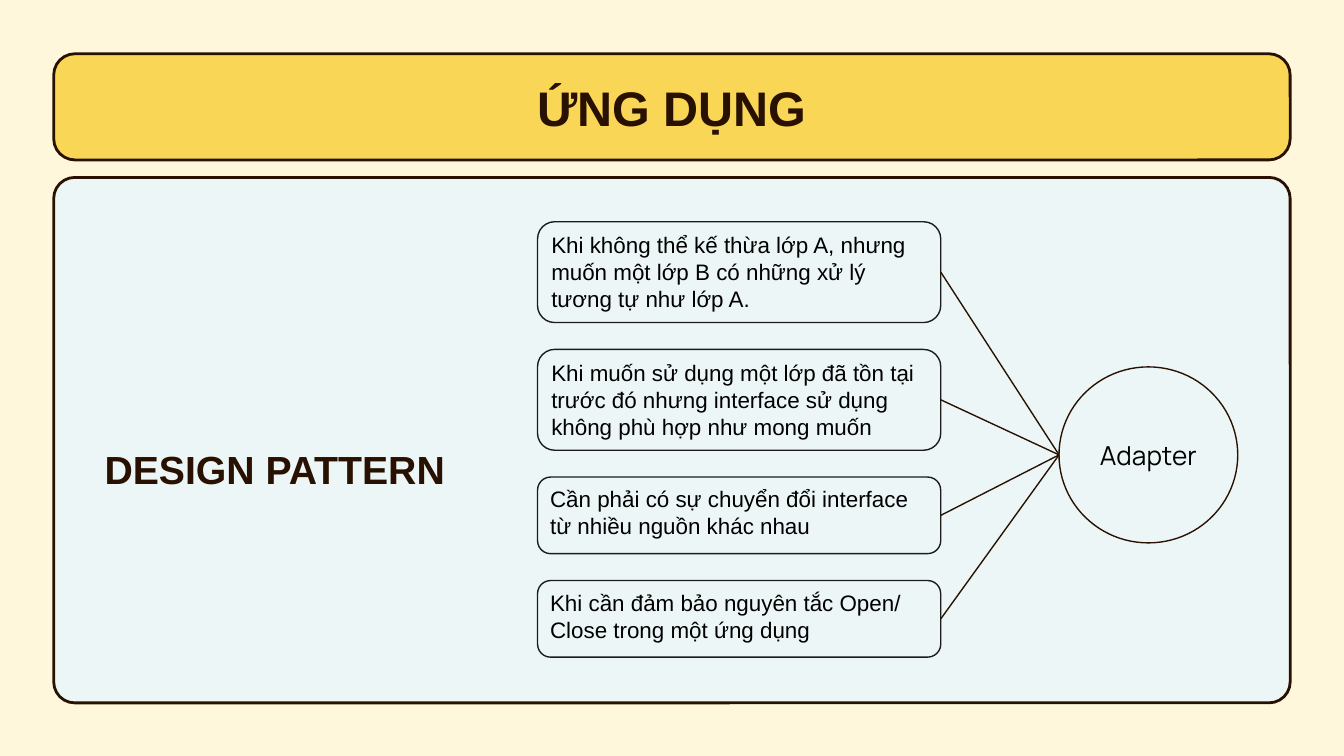
from dataclasses import dataclass

from pptx import Presentation
from pptx.dml.color import RGBColor
from pptx.enum.shapes import MSO_CONNECTOR, MSO_SHAPE
from pptx.enum.text import MSO_ANCHOR, PP_ALIGN
from pptx.oxml.ns import qn
from pptx.util import Inches, Pt
from lxml.etree import SubElement


@dataclass(frozen=True)
class Theme:
    """Colours, fonts and type sizes."""
    cream: str = "FFF7DC"
    gold: str = "F9D656"
    mist: str = "EDF6F7"
    brown: str = "281101"
    ink: str = "1B1B1B"
    black: str = "000000"
    face: str = "Arial"
    round: str = "Manrope"
    head: float = 26
    sub: float = 21
    label: float = 14
    body: float = 12
    thick: float = 1.5
    thin: float = 0.75


class Board:
    """Draws on one slide, in grid cells of a tenth of an inch."""

    def __init__(self, deck, theme):
        """Add a blank slide with a plain background."""
        self.theme = theme
        self.slide = deck.slides.add_slide(deck.slide_layouts[6])
        self.paint(self.slide.background.fill, theme.cream)

    def cells(self, *spans):
        """Turn grid cells into lengths."""
        return [Inches(span / 10) for span in spans]

    def paint(self, fill, tone):
        """Give a fill one solid colour."""
        fill.solid()
        fill.fore_color.rgb = RGBColor.from_string(tone)

    def stroke(self, line, tone, width):
        """Give an outline its colour and width."""
        self.paint(line.fill, tone)
        line.width = Pt(width)

    def shape(self, kind, spot, fill, line, width, bend=None):
        """Add a filled shape with an outline."""
        item = self.slide.shapes.add_shape(kind, *self.cells(*spot))
        item.shadow.inherit = False
        self.paint(item.fill, fill)
        self.stroke(item.line, line, width)
        if bend is not None:
            item.adjustments[0] = bend
        return item

    def panel(self, spot, fill, line, width, bend):
        """Add a rounded rectangle."""
        return self.shape(MSO_SHAPE.ROUNDED_RECTANGLE, spot, fill, line, width, bend)

    def text(self, item, words, size, tone, face=None, bold=False,
             align=PP_ALIGN.CENTER, anchor=MSO_ANCHOR.MIDDLE, pad=(0, 0)):
        """Write words into a shape."""
        frame = item.text_frame
        side, top = self.cells(*pad)
        form = dict(word_wrap=True, vertical_anchor=anchor, margin_left=side,
                    margin_right=side, margin_top=top, margin_bottom=top)
        for name, value in form.items():
            setattr(frame, name, value)
        para = frame.paragraphs[0]
        para.alignment = align
        run = para.add_run()
        run.text = words
        form = dict(name=face or self.theme.face, size=Pt(size), bold=bold)
        for name, value in form.items():
            setattr(run.font, name, value)
        run.font.color.rgb = RGBColor.from_string(tone)

    def note(self, spot, words, **form):
        """Add a free text box."""
        box = self.slide.shapes.add_textbox(*self.cells(*spot))
        self.text(box, words, **form)

    def link(self, box, end):
        """Draw a line from the right side of a box to a point."""
        line = self.slide.shapes.add_connector(
            MSO_CONNECTOR.STRAIGHT, 0, 0, *self.cells(*end))
        line.begin_connect(box, 3)
        self.stroke(line.line, self.theme.brown, self.theme.thin)
        SubElement(line._element.spPr, qn("a:effectLst"))


def main():
    """Build the slide and save it."""
    deck = Presentation()
    deck.slide_width = Inches(10)
    deck.slide_height = deck.slide_width * 9 // 16
    look = Theme()
    board = Board(deck, look)

    board.panel((4, 13.2, 92, 39.1), look.mist, look.brown, look.thick, 0.04)
    banner = board.panel((4, 4, 92, 7.9), look.gold, look.brown, look.thick, 0.2)
    board.text(banner, "ỨNG DỤNG", look.head, look.brown, bold=True)
    board.note((6.8, 32.1, 28.4, 5.6), "DESIGN PATTERN", size=look.sub,
               tone=look.brown, bold=True, align=PP_ALIGN.LEFT, pad=(1, 1))

    hub = (78.8, 27.3, 13.3, 13.1)
    ring = board.shape(MSO_SHAPE.OVAL, hub, look.mist, look.brown, look.thin)
    board.text(ring, "Adapter", look.label, look.black, look.round)

    cases = (
        ("Khi không thể kế thừa lớp A, nhưng muốn một lớp B có những xử lý tương tự như lớp A.", 7.5),
        ("Khi muốn sử dụng một lớp đã tồn tại trước đó nhưng interface sử dụng không phù hợp như mong muốn", 7.5),
        ("Cần phải có sự chuyển đổi interface từ nhiều nguồn khác nhau", 5.7),
        ("Khi cần đảm bảo nguyên tắc Open/ Close trong một ứng dụng", 5.7),
    )
    top, gap = 16.5, 2
    for words, tall in cases:
        box = board.panel((40, top, 30, tall), look.mist, look.ink, look.thin, 0.17)
        board.text(box, words, look.body, look.black, align=PP_ALIGN.LEFT,
                   anchor=MSO_ANCHOR.TOP, pad=(0.65, 0.35))
        board.link(box, (hub[0], hub[1] + hub[3] / 2))
        top += tall + gap

    deck.save("out.pptx")


if __name__ == "__main__":
    main()
